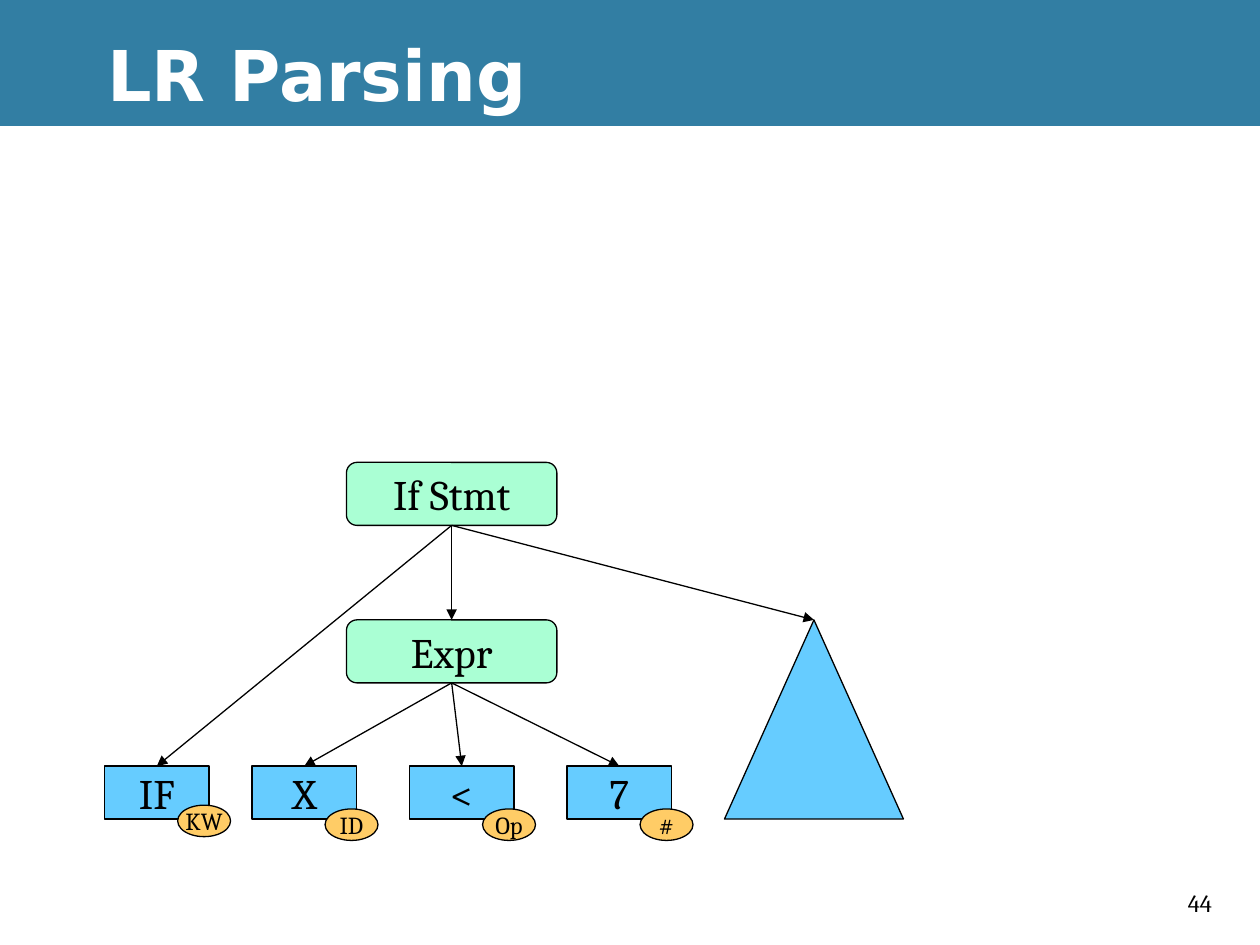
from pptx import Presentation
from pptx.dml.color import RGBColor
from pptx.enum import shapes as kinds, text as modes
from pptx.oxml.ns import qn
from pptx.util import Inches, Pt
from lxml import etree

HUES = {
    "black": "000000", "white": "FFFFFF", "band": "327EA3",
    "blue": "66CCFF", "mint": "AAFFD4", "gold": "FFCC66",
}
SHAPE = kinds.MSO_SHAPE


def hue(name):
    return RGBColor.from_string(HUES[name])


def draw(parent, kind, box, fill, label="", size=24, edge=True):
    item = parent.shapes.add_shape(kind, *map(Inches, box))
    item.shadow.inherit = False
    item.fill.solid()
    item.fill.fore_color.rgb = hue(fill)
    if edge:
        item.line.color.rgb = hue("black")
        item.line.width = Pt(0.75)
    else:
        item.line.fill.background()
    if label:
        frame = item.text_frame
        frame.text = label
        frame.word_wrap = False
        frame.vertical_anchor = modes.MSO_ANCHOR.MIDDLE
        para = frame.paragraphs[0]
        para.alignment = modes.PP_ALIGN.CENTER
        para.font.name = "Cambria"
        para.font.size = Pt(size)
        para.font.color.rgb = hue("black")
    return item


deck = Presentation()
deck.slide_width, deck.slide_height = Inches(10), Inches(7.5)
slide = deck.slides.add_slide(deck.slide_layouts[5])
slide.background.fill.solid()
slide.background.fill.fore_color.rgb = hue("black")

# Page body and title band
draw(slide, SHAPE.RECTANGLE, (0, 1, 10, 6.5), "white", edge=False)
draw(slide, SHAPE.RECTANGLE, (0, 0, 10, 1), "band", edge=False)

# Title, raised above the band
title = slide.shapes.title
title.left, title.top = Inches(0.75), Inches(0.08)
title.width, title.height = Inches(9.25), Inches(1)
title.text_frame.text = "LR Parsing"
title.text_frame.vertical_anchor = modes.MSO_ANCHOR.MIDDLE
para = title.text_frame.paragraphs[0]
para.alignment = modes.PP_ALIGN.LEFT
para.font.name = "DejaVu Sans"
para.font.size = Pt(40)
para.font.bold = True
para.font.color.rgb = hue("white")
title.element.getparent().append(title.element)

# Page number
page = slide.shapes.add_textbox(Inches(9.33), Inches(7), Inches(0.5), Inches(0.33))
page.text_frame.word_wrap = True
page.text_frame.text = "44"
para = page.text_frame.paragraphs[0]
para.font.name = "Cambria"
para.font.size = Pt(14)
para.font.color.rgb = hue("black")

# Tokens, each with a tag on its lower right corner
tokens = {}
for word, tag, left, top in [
    ("7", "#", 4.5, 6.42), ("<", "Op", 3.25, 6.42),
    ("X", "ID", 2, 6.42), ("IF", "KW", 0.83, 6.39),
]:
    group = slide.shapes.add_group_shape()
    tokens[word] = draw(group, SHAPE.RECTANGLE, (left, 6.08, 0.83, 0.42), "blue", word)
    draw(group, SHAPE.OVAL, (left + 0.58, top, 0.42, 0.25), "gold", tag, 14)

# Inner nodes and the unparsed subtree
expr = draw(slide, SHAPE.ROUNDED_RECTANGLE, (2.75, 4.92, 1.67, 0.5), "mint", "Expr")
stmt = draw(slide, SHAPE.ROUNDED_RECTANGLE, (2.75, 3.67, 1.67, 0.5), "mint", "If Stmt")
tree = draw(slide, SHAPE.ISOSCELES_TRIANGLE, (5.75, 4.92, 1.42, 1.58), "blue")

# Arrows from each parent's bottom to each child's top
for parent, kids in [
    (expr, [tokens["X"], tokens["<"], tokens["7"]]),
    (stmt, [tokens["IF"], expr, tree]),
]:
    for kid in kids:
        arrow = slide.shapes.add_connector(kinds.MSO_CONNECTOR.STRAIGHT, 0, 0, 0, 0)
        arrow.begin_connect(parent, 2)
        arrow.end_connect(kid, 0)
        arrow.line.color.rgb = hue("black")
        arrow.line.width = Pt(0.75)
        etree.SubElement(arrow.line._get_or_add_ln(), qn("a:tailEnd"), type="triangle")
        etree.SubElement(arrow.element.spPr, qn("a:effectLst"))

deck.save("out.pptx")
